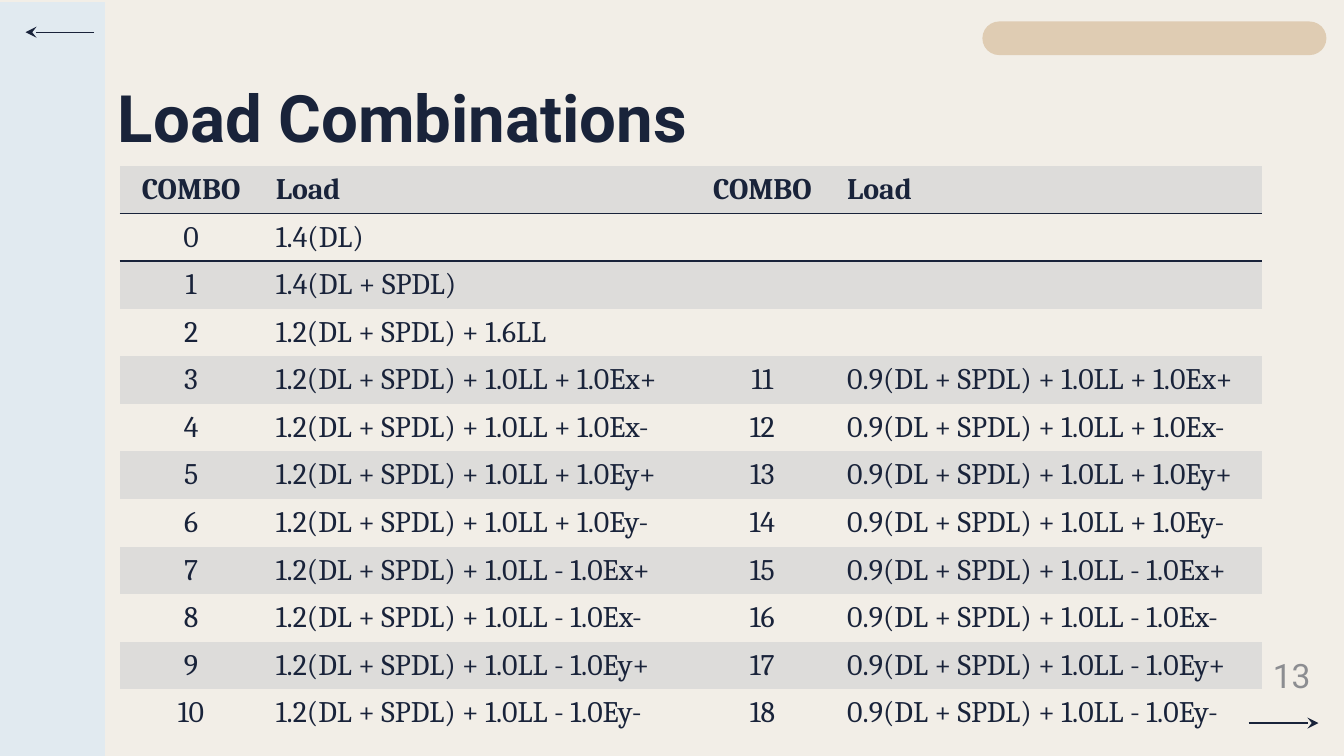
from dataclasses import dataclass
from itertools import product
from typing import Optional

from lxml.etree import SubElement
from pptx import Presentation
from pptx.dml.color import RGBColor
from pptx.enum.shapes import MSO_CONNECTOR as Conn, MSO_SHAPE as Shape
from pptx.enum.text import MSO_ANCHOR as Anchor, PP_ALIGN as Align
from pptx.oxml.ns import qn
from pptx.util import Inches, Pt

COLORS = {"paper": "F2EEE7", "side": "E1EAF0", "pill": "DFCCB3",
          "ink": "19233A", "band": "DDDCDA", "number": "8C8D91"}
COLS, ROWS = 100, 56.25
UNIT = Inches(10) / COLS
NO_STYLE = "{2D5ABB26-0587-4C30-8999-92F81FD0307C}"


@dataclass(frozen=True)
class Box:
    col: float
    row: float
    cols: float
    rows: float

    def emu(self) -> list[int]:
        return [grid(v) for v in (self.col, self.row, self.cols, self.rows)]


@dataclass(frozen=True)
class Panel:
    box: Box
    kind: Shape
    color: str
    rounding: Optional[float] = None


@dataclass(frozen=True)
class Arrow:
    start: float
    end: float
    row: float


@dataclass(frozen=True)
class Label:
    text: str
    box: Box
    font: dict
    align: Align = Align.LEFT
    anchor: Anchor = Anchor.TOP
    inset: float = 1
    spacing: float = 1


def grid(value: float) -> int:
    return round(value * UNIT)


def rgb(name: str) -> RGBColor:
    return RGBColor.from_string(COLORS[name])


def write(p, text: str, font: dict) -> None:
    r = p.add_run()
    r.text = text
    for key, value in font.items():
        if key == "color":
            r.font.color.rgb = rgb(value)
        else:
            setattr(r.font, key, value)


def draw_panel(s, panel: Panel) -> None:
    sp = s.shapes.add_shape(panel.kind, *panel.box.emu())
    sp.shadow.inherit = False
    sp.fill.solid()
    sp.fill.fore_color.rgb = rgb(panel.color)
    sp.line.fill.background()
    if panel.rounding is not None:
        sp.adjustments[0] = panel.rounding


def draw_label(s, label: Label) -> None:
    tf = s.shapes.add_textbox(*label.box.emu()).text_frame
    inset = grid(label.inset)
    frame = {"word_wrap": True, "vertical_anchor": label.anchor,
             "margin_left": inset, "margin_right": inset,
             "margin_top": inset / 2 if label.anchor == Anchor.MIDDLE else inset,
             "margin_bottom": inset / 2 if label.anchor == Anchor.MIDDLE else inset}
    for key, value in frame.items():
        setattr(tf, key, int(value))
    p = tf.paragraphs[0]
    p.alignment = label.align
    p.line_spacing = label.spacing
    write(p, label.text, label.font)


def draw_arrow(s, arrow: Arrow) -> None:
    y = grid(arrow.row)
    cx = s.shapes.add_connector(Conn.STRAIGHT, grid(arrow.start), y, grid(arrow.end), y)
    cx.line.color.rgb = rgb("ink")
    cx.line.width = Pt(0.75)
    SubElement(cx.line._get_or_add_ln(), qn("a:tailEnd"), type="stealth")
    SubElement(cx._element.spPr, qn("a:effectLst"))


def add_rule(cell, edge: str) -> None:
    tc_pr = cell._tc.get_or_add_tcPr()
    ln = SubElement(tc_pr, qn(f"a:{edge}"), w=str(Pt(1)))
    SubElement(SubElement(ln, qn("a:solidFill")), qn("a:srgbClr"), val=COLORS["ink"])


def draw_table(s, box: Box, widths: list[float], rows: list[list[str]]) -> None:
    table = s.shapes.add_table(len(rows), len(widths), *box.emu()).table
    table._tbl.tblPr.find(qn("a:tableStyleId")).text = NO_STYLE
    table.horz_banding = False
    for column, width in zip(table.columns, widths):
        column.width = grid(width)
    for i, row in enumerate(rows):
        table.rows[i].height = grid(box.rows / len(rows))
        for j, text in enumerate(row):
            cell = table.cell(i, j)
            for key, value in {"margin_left": grid(1), "margin_right": 0 if i and j % 2 else grid(1),
                               "margin_top": 0, "margin_bottom": 0,
                               "vertical_anchor": Anchor.MIDDLE}.items():
                setattr(cell, key, value)
            if i < 2:
                add_rule(cell, "lnT" if i else "lnB")
            if i % 2:
                cell.fill.background()
            else:
                cell.fill.solid()
                cell.fill.fore_color.rgb = rgb("band")
            if text:
                p = cell.text_frame.paragraphs[0]
                p.alignment = Align.LEFT if j % 2 else Align.CENTER
                write(p, text, {"name": "Cambria", "size": Pt(16), "bold": i == 0, "color": "ink"})


def combinations() -> list[list[str]]:
    gravity = ["1.4(DL)", "1.4(DL + SPDL)", "1.2(DL + SPDL) + 1.6LL"]
    rows = [["COMBO", "Load"] * 2]
    rows += [[str(n), load, "", ""] for n, load in enumerate(gravity)]
    for n, (sign, axis, side) in enumerate(product("+-", "xy", "+-"), len(gravity)):
        seismic = f"(DL + SPDL) + 1.0LL {sign} 1.0E{axis}{side}"
        rows.append([str(n), f"1.2{seismic}", str(n + 8), f"0.9{seismic}"])
    return rows


PANELS = [Panel(Box(0, 0.15, 7.8, 56.1), Shape.RECTANGLE, "side"),
          Panel(Box(73.1, 1.6, 25.6, 2.5), Shape.ROUNDED_RECTANGLE, "pill", 0.5)]
TITLE = Label("Load Combinations", Box(7.8, 5.9, 84.4, 6.3),
              {"name": "Roboto", "size": Pt(35), "bold": True, "color": "ink"}, spacing=0.8)
NUMBER = Label("13", Box(76, 48.7, 22.5, 3),
               {"name": "Roboto", "size": Pt(18), "color": "number"},
               Align.RIGHT, Anchor.MIDDLE)
ARROWS = [Arrow(92.9, 98.1, 53.8), Arrow(7, 1.9, 2.4)]


def main() -> None:
    prs = Presentation()
    prs.slide_width, prs.slide_height = grid(COLS), grid(ROWS)
    s = prs.slides.add_slide(prs.slide_layouts[6])
    s.background.fill.solid()
    s.background.fill.fore_color.rgb = rgb("paper")
    for panel in PANELS:
        draw_panel(s, panel)
    draw_label(s, TITLE)
    draw_table(s, Box(8.9, 12.35, 85, 42.5), [10.63, 31.88] * 2, combinations())
    for arrow in ARROWS:
        draw_arrow(s, arrow)
    draw_label(s, NUMBER)
    prs.save("out.pptx")


if __name__ == "__main__":
    main()
